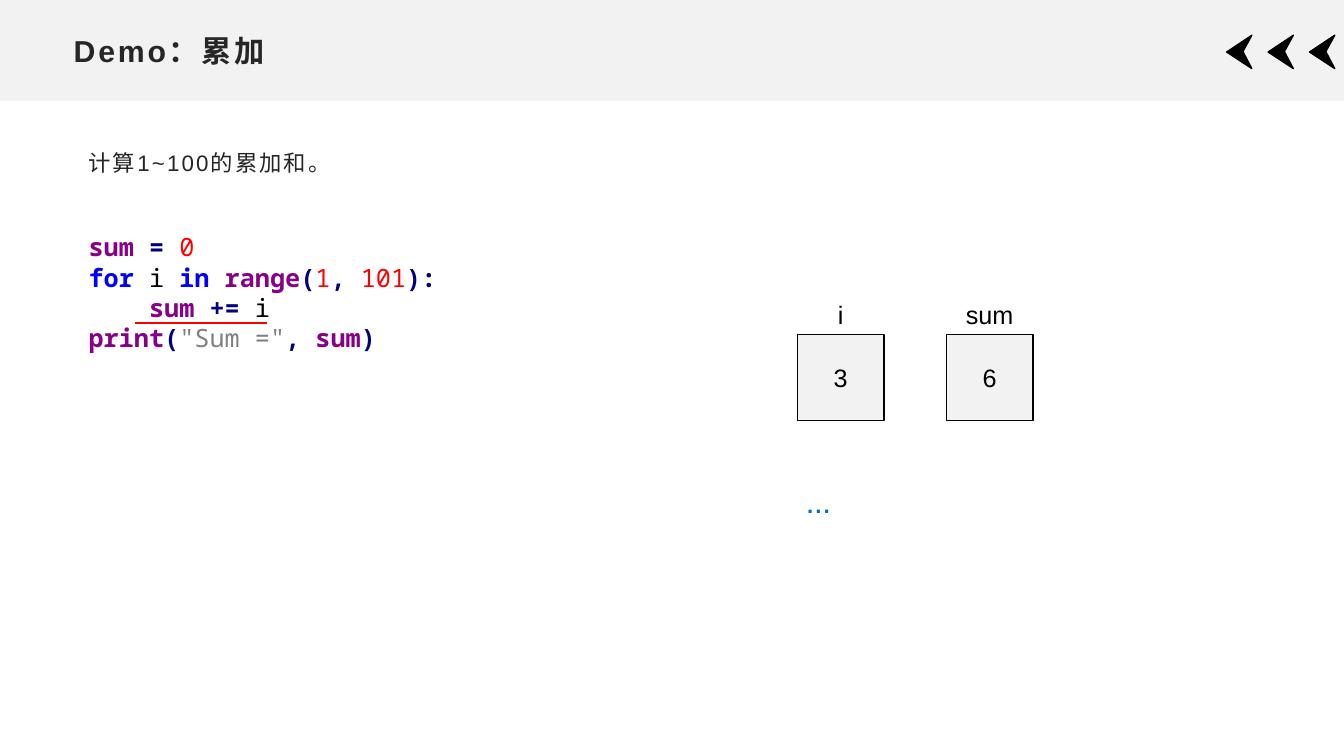
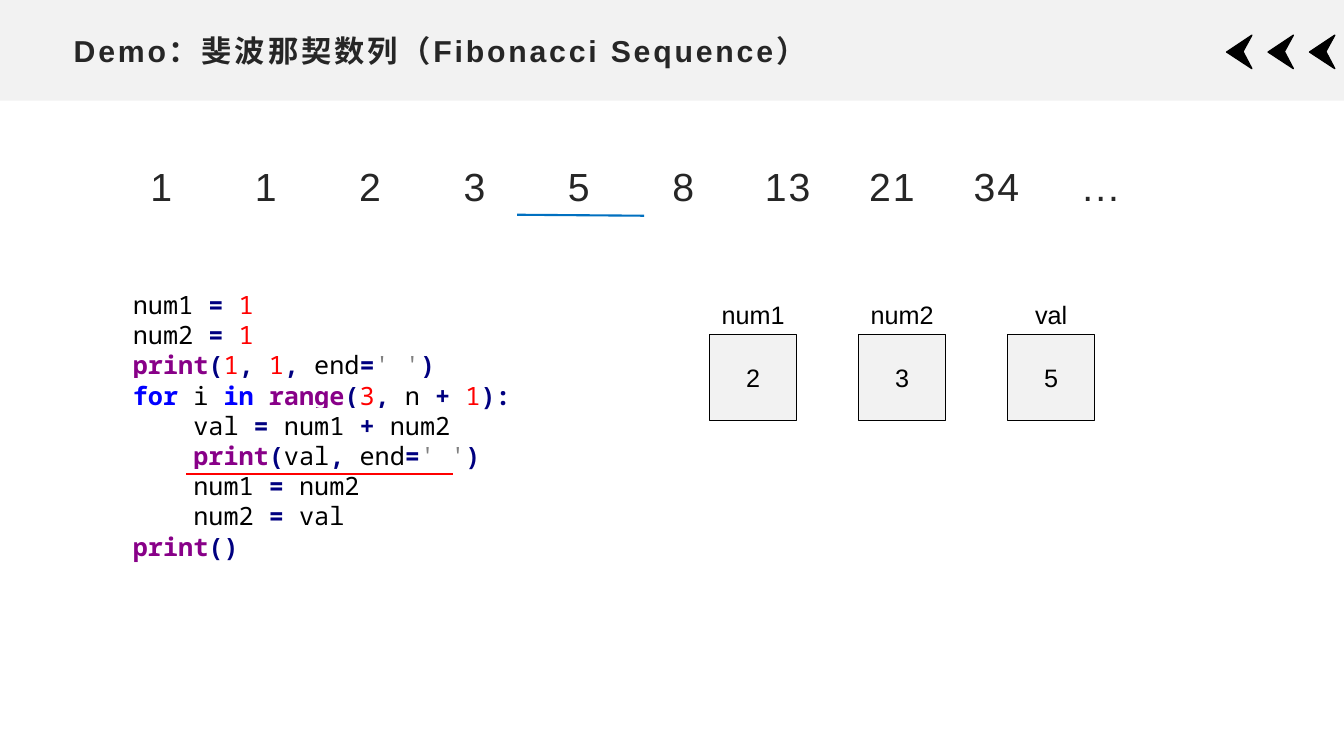
from lxml.etree import SubElement
from pptx import Presentation
from pptx.dml.color import RGBColor
from pptx.enum.shapes import MSO_CONNECTOR as CONNECTOR, MSO_SHAPE as SHAPE
from pptx.enum.text import MSO_ANCHOR as ANCHOR, PP_ALIGN as ALIGN
from pptx.oxml.ns import qn
from pptx.util import Pt

COLORS = {
    "black": "000000", "white": "FFFFFF", "text": "262626", "panel": "F2F2F2",
    "red": "FF0000", "blue": "0070C0",
    "keyword": "0000FF", "builtin": "880088", "operator": "000080", "string": "808080",
}
KEYWORDS = {"for", "in"}
BUILTINS = {"sum", "range", "print"}


def rgb(name):
    return RGBColor.from_string(COLORS[name])


def write(shape, text, size=18, font="Arial", color="black", bold=False, spacing=0,
          align=ALIGN.LEFT, anchor=ANCHOR.TOP, leading=None, after=0, highlight=None):
    """Fill a shape with a string, or with lines of (text, color, bold) runs."""
    lines = [[(text, color, bold)]] if isinstance(text, str) else text
    frame = shape.text_frame
    frame.word_wrap = True
    frame.vertical_anchor = anchor
    for number, line in enumerate(lines):
        paragraph = frame.add_paragraph() if number else frame.paragraphs[0]
        paragraph.alignment = align
        paragraph.space_after = Pt(after)
        if leading:
            paragraph.line_spacing = leading
        for words, run_color, run_bold in line:
            run = paragraph.add_run()
            run.text = words
            run.font.size = Pt(size)
            run.font.bold = run_bold
            run.font.color.rgb = rgb(run_color)
            properties = run.font._element
            if spacing:
                properties.set("spc", str(int(spacing * 100)))
            if highlight:
                mark = SubElement(properties, qn("a:highlight"))
                SubElement(mark, qn("a:srgbClr")).set("val", COLORS[highlight])
            run.font.name = font


# Text formats
TITLE = dict(size=21.6, color="text", bold=True, spacing=2, anchor=ANCHOR.MIDDLE)
BODY = dict(size=16, color="text", spacing=1.5, leading=1.3, after=10)
DOTS = {**BODY, "color": "blue", "bold": True}
TERM = {**BODY, "size": 28, "align": ALIGN.CENTER}
CODE = dict(font="Noto Sans Mono", leading=Pt(21.6), highlight="white")

# Slide content: boxes are left, top, width, height; "|" separates code tokens
TERMS = ["1", "1", "2", "3", "5", "8", "13", "21", "34", "..."]
DEMOS = [
    {
        "title": "Demo：累加",
        "texts": [("计算1~100的累加和。", (56.2, 97.2, 200, 39.6), BODY),
                  ("...", (569.5, 341.3, 33.8, 39.6), DOTS)],
        "code_box": (56.2, 162, 262.8, 108),
        "code": ["sum| |=| |0",
                 "for| |i| |in| |range|(|1|,| |101|):",
                 "    |sum| |+=| |i",
                 'print|(|"Sum ="|,| |sum|)'],
        "variables": [("i", "3"), ("sum", "6")],
        "variables_left": 569.5,
        "underlines": [(96.5, 230.4, 190.8, 230.4, "red")],
    },
    {
        "title": "Demo：斐波那契数列（Fibonacci Sequence）",
        "texts": [(term, (88.6 + 74.56 * i, 102.5, 53.3, 50.4), TERM)
                  for i, term in enumerate(TERMS)],
        "code_box": (87.8, 203, 298.1, 203.8),
        "code": ["num1| |=| |1",
                 "num2| |=| |1",
                 "print|(|1|,| |1|,| |end|=|' '|)",
                 "for| |i| |in| |range|(|3|,| |n| |+| |1|):",
                 "    |val| |=| |num1| |+| |num2",
                 "    |print|(|val|,| |end|=|' '|)",
                 "    |num1| |=| |num2",
                 "    |num2| |=| |val",
                 "print|()"],
        "variables": [("num1", "2"), ("num2", "3"), ("val", "5")],
        "variables_left": 507,
        "underlines": [(369.4, 153.4, 460.1, 154.1, "blue"),
                       (133.2, 338.4, 323.3, 338.4, "red")],
    },
]

deck = Presentation()
deck.slide_width, deck.slide_height = Pt(960), Pt(540)
layout = deck.slide_layouts[5]
slides = [deck.slides.add_slide(layout) for demo in DEMOS]

# Shared header: a band and three chevrons, moved to the layout behind its title
header = [slides[0].shapes.add_shape(SHAPE.RECTANGLE, 0, 0, Pt(960), Pt(72))]
header[0].line.fill.background()
for i in range(3):
    left = 876.2 + 29.6 * i
    outline = slides[0].shapes.build_freeform(Pt(left + 18), Pt(49), scale=1.0)
    outline.add_line_segments([(Pt(left), Pt(37.2)), (Pt(left + 18), Pt(25.2)),
                               (Pt(left + 11.6), Pt(36.9))], close=True)
    chevron = outline.convert_to_shape()
    chevron.line.color.rgb = rgb("black")
    chevron.line.width = Pt(1)
    header.append(chevron)
for i, part in enumerate(header):
    part.shadow.inherit = False
    part.fill.solid()
    part.fill.fore_color.rgb = rgb("black" if i else "panel")
    layout.shapes._spTree.insert(2 + i, part._element)
layout_title = layout.placeholders[0]
layout_title.left, layout_title.top = Pt(45.4), Pt(18.7)
layout_title.width, layout_title.height = Pt(869), Pt(34.6)

for slide, demo in zip(slides, DEMOS):
    shapes = slide.shapes
    write(shapes.title, demo["title"], **TITLE)

    # Plain texts
    for words, box, style in demo["texts"]:
        write(shapes.add_textbox(*map(Pt, box)), words, **style)

    # Variables with their current values
    for i, (name, value) in enumerate(demo["variables"]):
        left = Pt(demo["variables_left"] + 106.4 * i)
        label = shapes.add_textbox(left, Pt(210.2), Pt(62), Pt(28.8))
        write(label, name, align=ALIGN.CENTER)
        cell = shapes.add_shape(SHAPE.RECTANGLE, left, Pt(239), Pt(62), Pt(61.4))
        cell.shadow.inherit = False
        cell.fill.solid()
        cell.fill.fore_color.rgb = rgb("panel")
        cell.line.color.rgb = rgb("black")
        cell.line.width = Pt(1)
        write(cell, value, align=ALIGN.CENTER, anchor=ANCHOR.MIDDLE)

    # Code, coloured by kind of token
    code_lines = []
    for line in demo["code"]:
        runs = []
        for token in line.split("|"):
            if token in KEYWORDS:
                kind = "keyword"
            elif token in BUILTINS:
                kind = "builtin"
            elif token.isdigit():
                kind = "red"
            elif token[0] in "'\"":
                kind = "string"
            elif token.isspace() or token.isalnum():
                kind = "black"
            else:
                kind = "operator"
            runs.append((token, kind, kind in ("keyword", "builtin", "operator")))
        code_lines.append(runs)
    write(shapes.add_textbox(*map(Pt, demo["code_box"])), code_lines, **CODE)

    # Underlines of the current step
    for *ends, color in demo["underlines"]:
        underline = shapes.add_connector(CONNECTOR.STRAIGHT, *map(Pt, ends))
        underline.line.color.rgb = rgb(color)
        underline.line.width = Pt(1.5)
        SubElement(underline._element.spPr, qn("a:effectLst"))

deck.save("out.pptx")
